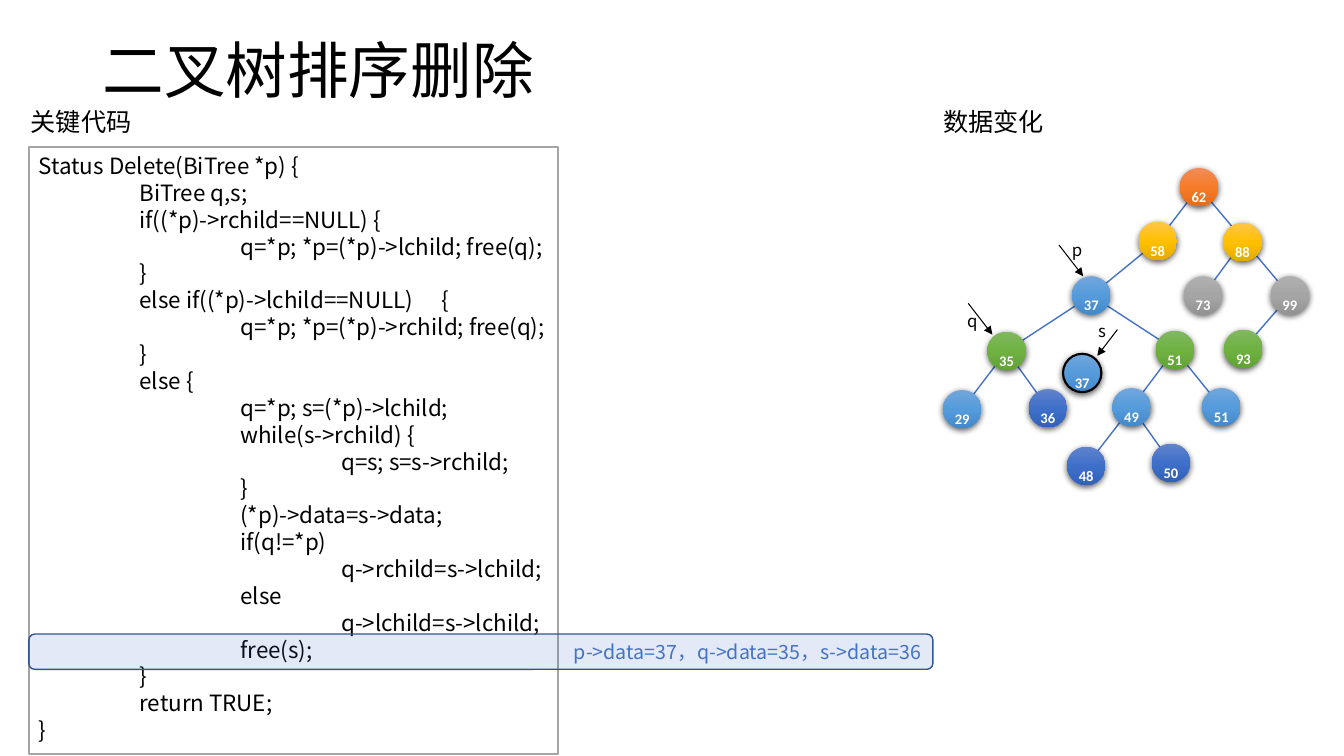
from lxml.etree import SubElement
from pptx import Presentation
from pptx.dml.color import RGBColor
from pptx.enum.shapes import MSO_CONNECTOR, MSO_SHAPE
from pptx.enum.text import MSO_ANCHOR, MSO_AUTO_SIZE, PP_ALIGN
from pptx.oxml.ns import qn
from pptx.util import Pt

CJK = "Noto Sans CJK SC"
BLUE = "4472C4"
DIAMETER = 27.4
CODE = """Status Delete(BiTree *p) {
\tBiTree q,s;
\tif((*p)->rchild==NULL) {
\t\tq=*p; *p=(*p)->lchild; free(q);
\t}
\telse if((*p)->lchild==NULL)\t{
\t\tq=*p; *p=(*p)->rchild; free(q);
\t}
\telse {
\t\tq=*p; s=(*p)->lchild;
\t\twhile(s->rchild) {
\t\t\tq=s; s=s->rchild;
\t\t}
\t\t(*p)->data=s->data;
\t\tif(q!=*p)
\t\t\tq->rchild=s->lchild;
\t\telse
\t\t\tq->lchild=s->lchild;
\t\tfree(s);
\t}
\treturn TRUE;
}"""
GRADIENTS = {
    "orange": ("F18C57", "F67B28", "E56C19"),
    "gold": ("FFC64B", "FFC000", "E3AB00"),
    "sky": ("71A6DB", "559BDB", "448ACA"),
    "green": ("81B861", "6FB242", "62A336"),
    "gray": ("AFAFAF", "A5A5A5", "939393"),
    "blue": ("6183CB", "3E70CA", "3062BB"),
}
NODES = {
    "root": ("62", 176, 0, "orange"),
    "l": ("58", 146.6, 38.4, "gold"),
    "ll": ("37", 99.1, 77.3, "sky"),
    "lll": ("35", 38.6, 116.9, "green"),
    "r": ("88", 207.1, 39.1, "gold"),
    "rr": ("99", 240.9, 77.3, "gray"),
    "rl": ("73", 179, 77.3, "gray"),
    "llr": ("51", 158.8, 116.2, "green"),
    "removed": ("37", 92.6, 132.7, "sky"),
    "rrl": ("93", 207.8, 115.4, "green"),
    "llll": ("29", 6.9, 158.6, "sky"),
    "lllr": ("36", 68.1, 157.9, "blue"),
    "llrl": ("49", 127.9, 157.2, "sky"),
    "llrlr": ("50", 156, 196.8, "blue"),
    "llrll": ("48", 95.5, 199, "blue"),
    "llrr": ("51", 192, 157.2, "sky"),
}
POINTERS = [
    ("p", (89.7, 55), (107, 77.3), (91.9, 47.8)),
    ("s", (131.5, 115.4), (117.1, 134.2), (110.6, 105.4)),
    ("q", (24.9, 96.7), (42.2, 119), (17, 98.2)),
]


def rgb(value):
    """Turn a hex string into a colour."""
    return RGBColor.from_string(value)


def format_text(tf, size, color="000000", font=CJK, align=PP_ALIGN.LEFT):
    """Format every run of a text frame."""
    tf.word_wrap = True
    tf.auto_size = MSO_AUTO_SIZE.NONE
    for p in tf.paragraphs:
        p.alignment = align
        for r in p.runs:
            r.font.size = Pt(size)
            r.font.color.rgb = rgb(color)
            r.font.name = font
            SubElement(r._r.get_or_add_rPr(), qn("a:ea"), typeface=font)


def set_lines(tf, size):
    """Give top-anchored text a fixed line pitch of 1.2 times its size."""
    tf.vertical_anchor = MSO_ANCHOR.TOP
    for p in tf.paragraphs:
        p.line_spacing = Pt(1.2 * size)


def set_tabs(tf, step, count):
    """Set evenly spaced tab stops in every paragraph."""
    for p in tf.paragraphs:
        tabs = SubElement(p._p.get_or_add_pPr(), qn("a:tabLst"))
        for i in range(1, count + 1):
            SubElement(tabs, qn("a:tab"), pos=str(Pt(step * i)), algn="l")


def add_label(s, text, box, size):
    """Add a plain caption."""
    tf = s.shapes.add_textbox(*map(Pt, box)).text_frame
    tf.text = text
    format_text(tf, size)
    set_lines(tf, size)


def add_line(s, start, end, color, width):
    """Add a straight line without shadow."""
    line = s.shapes.add_connector(MSO_CONNECTOR.STRAIGHT, *map(Pt, start + end))
    line.line.color.rgb = rgb(color)
    line.line.width = Pt(width)
    SubElement(line._element.spPr, qn("a:effectLst"))
    return line


def add_title(s, box):
    """Fill and place the title."""
    title = s.shapes.title
    title.left, title.top, title.width, title.height = map(Pt, box)
    tf = title.text_frame
    tf.text = "二叉树排序删除"
    tf.vertical_anchor = MSO_ANCHOR.MIDDLE
    tf.paragraphs[0].line_spacing = 0.9
    format_text(tf, 44)


def add_code(s, box):
    """Draw the code panel with its caption and highlighted line."""
    x, y, w, h = box
    panel = s.shapes.add_shape(MSO_SHAPE.RECTANGLE, *map(Pt, box))
    panel.shadow.inherit = False
    panel.fill.solid()
    panel.fill.fore_color.rgb = rgb("FFFFFF")
    panel.line.color.rgb = rgb("A5A5A5")
    panel.line.width = Pt(1)
    panel.text_frame.text = CODE
    format_text(panel.text_frame, 16)
    set_lines(panel.text_frame, 16)
    set_tabs(panel.text_frame, 72, 4)
    add_label(s, "关键代码", (x - 5.7, y - 32.4, 90, 28.8), 18)

    bar = s.shapes.add_shape(MSO_SHAPE.ROUNDED_RECTANGLE, Pt(x), Pt(y + 347.8), Pt(645.8), Pt(25.2))
    bar.shadow.inherit = False
    bar.fill.solid()
    bar.fill.fore_color.rgb = rgb(BLUE)
    fill = bar._element.spPr.find(qn("a:solidFill"))
    SubElement(fill[0], qn("a:alpha"), val="15000")
    bar.line.color.rgb = rgb("325491")
    bar.line.width = Pt(1)
    tf = bar.text_frame
    tf.text = "p->data=37，q->data=35，s->data=36"
    tf.vertical_anchor = MSO_ANCHOR.MIDDLE
    format_text(tf, 14, BLUE, align=PP_ALIGN.RIGHT)


def add_node(s, text, x, y, tone, outlined):
    """Draw one tree node as a shaded ball with its number."""
    group = s.shapes.add_group_shape()
    ball = group.shapes.add_shape(MSO_SHAPE.OVAL, Pt(x), Pt(y), Pt(DIAMETER), Pt(DIAMETER))
    ball.fill.gradient()
    ball.fill.gradient_angle = 270
    stops = ball._element.spPr.find(qn("a:gradFill")).find(qn("a:gsLst"))
    for stop in list(stops):
        stops.remove(stop)
    for i, color in enumerate(GRADIENTS[tone]):
        stop = SubElement(stops, qn("a:gs"), pos=str(50000 * i))
        SubElement(stop, qn("a:srgbClr"), val=color)
    if outlined:
        ball.line.color.rgb = rgb("000000")
        ball.line.width = Pt(1.5)
    else:
        ball.line.fill.background()
    ball.shadow.inherit = False
    effects = ball._element.spPr.find(qn("a:effectLst"))
    shadow = SubElement(effects, qn("a:outerShdw"), blurRad=str(Pt(4.5)), dist=str(Pt(1.5)),
                        dir="5400000", algn="ctr", rotWithShape="0")
    SubElement(SubElement(shadow, qn("a:srgbClr"), val="000000"), qn("a:alpha"), val="63000")

    tf = group.shapes.add_textbox(Pt(x), Pt(y - 1.4), Pt(DIAMETER), Pt(21.6)).text_frame
    tf.text = text
    format_text(tf, 18, "FFFFFF", "Calibri", PP_ALIGN.CENTER)
    r = tf.paragraphs[0].runs[0]
    r.font.bold = True
    r._r.get_or_add_rPr().set("baseline", "-25000")


def add_tree(s, box):
    """Draw the caption, edges, nodes and pointers; one edge runs from 62 behind 88 to 99."""
    x, y = box[:2]
    add_label(s, "数据变化", (x, y - 47.3, 90, 28.8), 18)
    centers = {key: (x + dx + DIAMETER / 2, y + dy + DIAMETER / 2)
               for key, (_, dx, dy, _) in NODES.items()}
    for key in NODES:
        if key not in ("root", "r", "removed"):
            parent = "root" if key in ("l", "rr") else key[:-1]
            add_line(s, centers[parent], centers[key], BLUE, 1)
    for key, (text, dx, dy, tone) in NODES.items():
        add_node(s, text, x + dx, y + dy, tone, key == "removed")
    for name, start, end, spot in POINTERS:
        arrow = add_line(s, (x + start[0], y + start[1]), (x + end[0], y + end[1]), "000000", 0.75)
        SubElement(arrow.line._get_or_add_ln(), qn("a:tailEnd"), type="triangle")
        add_label(s, name, (x + spot[0], y + spot[1], 21.6, 21.6), 12)


def main():
    """Build and save the slide."""
    prs = Presentation()
    prs.slide_width, prs.slide_height = Pt(960), Pt(540)
    s = prs.slides.add_slide(prs.slide_layouts[5])
    add_title(s, (66, 0.4, 828, 104.4))
    add_code(s, (20.6, 105.1, 378, 433.4))
    add_tree(s, (666.7, 120, 268.3, 226.4))
    prs.save("out.pptx")


if __name__ == "__main__":
    main()
